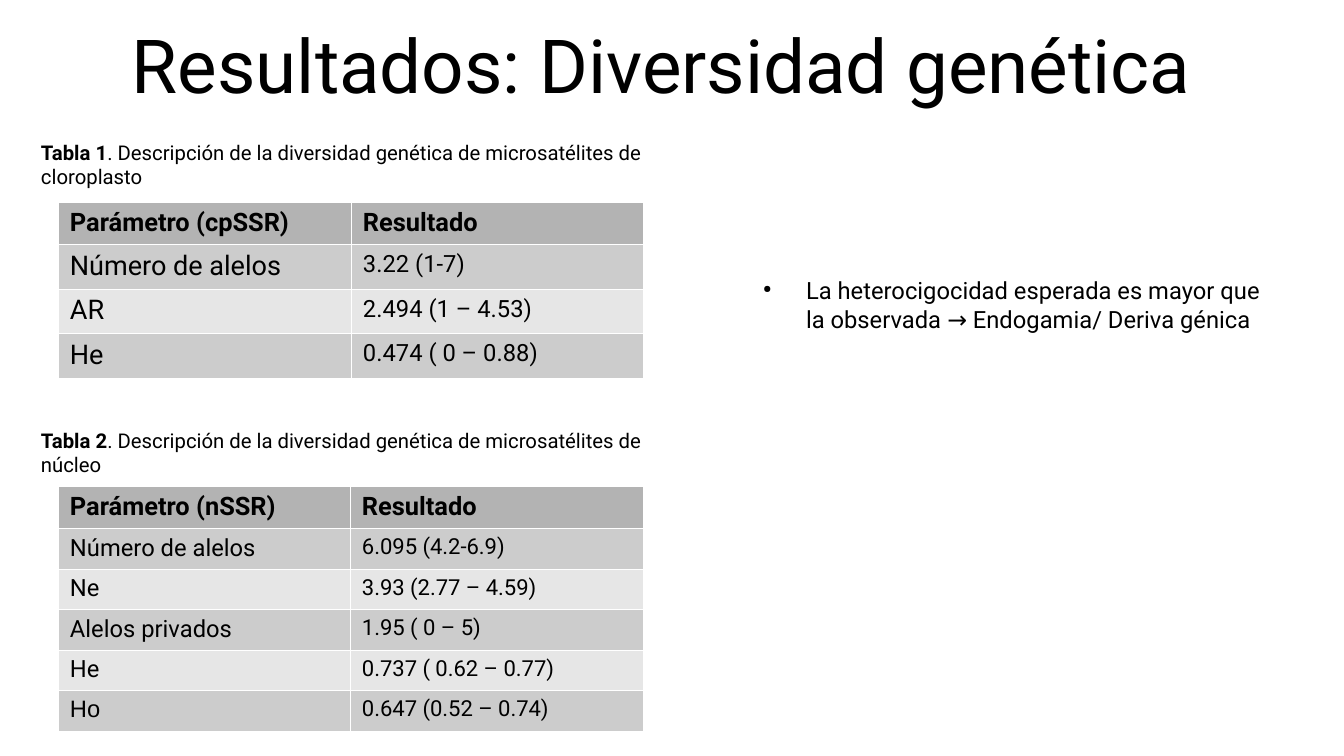
from dataclasses import dataclass

import pptx
import pptx.dml.color
import pptx.enum.text
import pptx.oxml
import pptx.oxml.ns
import pptx.util

EMU_PER_PX = 914400 / 122


@dataclass(frozen=True)
class Theme:
    font: str = "Roboto"
    alternate_font: str = "Arial"
    text: str = "000000"
    background: str = "FFFFFF"
    border: str = "FFFFFF"
    header_fill: str = "B3B3B3"
    band_fills: tuple[str, str] = ("CCCCCC", "E6E6E6")
    title_size: int = 44
    header_size: int = 15
    body_size: int = 14
    caption_size: int = 12
    border_width: float = 0.06


@dataclass(frozen=True)
class Box:
    left: int
    top: int
    width: int
    height: int


@dataclass(frozen=True)
class ResultTable:
    label: str
    caption: str
    caption_box: Box
    left: int
    top: int
    columns: tuple[int, int]
    header_height: int
    row_height: int
    sizes: tuple[int, int]
    rows: tuple[tuple[str, str], ...]


THEME = Theme()
ALTERNATE_FONT_TEXTS = {"Ho"}
TABLES = (
    ResultTable(
        "Tabla 1",
        ". Descripción de la diversidad genética de microsatélites de cloroplasto",
        Box(29, 134, 625, 57), 58, 202, (293, 292), 41, 44, (16, 14),
        (
            ("Parámetro (cpSSR)", "Resultado"),
            ("Número de alelos", "3.22 (1-7)"),
            ("AR", "2.494 (1 – 4.53)"),
            ("He", "0.474 ( 0 – 0.88)"),
        ),
    ),
    ResultTable(
        "Tabla 2",
        ". Descripción de la diversidad genética de microsatélites de núcleo",
        Box(29, 422, 625, 57), 58, 486, (292, 293), 41, 40, (14, 13),
        (
            ("Parámetro (nSSR)", "Resultado"),
            ("Número de alelos", "6.095 (4.2-6.9)"),
            ("Ne", "3.93 (2.77 – 4.59)"),
            ("Alelos privados", "1.95 ( 0 – 5)"),
            ("He", "0.737 ( 0.62 – 0.77)"),
            ("Ho", "0.647 (0.52 – 0.74)"),
        ),
    ),
)


def px(length: int) -> pptx.util.Emu:
    return pptx.util.Emu(round(length * EMU_PER_PX))


def color(value: str) -> pptx.dml.color.RGBColor:
    return pptx.dml.color.RGBColor.from_string(value)


def style_paragraph(paragraph, size: int, bold: bool | None = None, font: str = THEME.font) -> None:
    paragraph.font.name = font
    paragraph.font.size = pptx.util.Pt(size)
    paragraph.font.color.rgb = color(THEME.text)
    paragraph.font.bold = bold


def set_margins(target, horizontal: int, vertical: int) -> None:
    target.margin_left = target.margin_right = px(horizontal)
    target.margin_top = target.margin_bottom = px(vertical)


def add_text_frame(slide, box: Box, horizontal: int = 0, vertical: int = 0):
    shape = slide.shapes.add_textbox(px(box.left), px(box.top), px(box.width), px(box.height))
    shape.text_frame.word_wrap = True
    set_margins(shape.text_frame, horizontal, vertical)
    return shape.text_frame


def add_title(slide, text: str, box: Box) -> None:
    frame = add_text_frame(slide, box)
    frame.vertical_anchor = pptx.enum.text.MSO_ANCHOR.MIDDLE
    paragraph = frame.paragraphs[0]
    paragraph.text = text
    paragraph.alignment = pptx.enum.text.PP_ALIGN.CENTER
    style_paragraph(paragraph, THEME.title_size)


def add_bullet(slide, text: str, box: Box) -> None:
    paragraph = add_text_frame(slide, box).paragraphs[0]
    paragraph.text = text
    properties = paragraph._p.get_or_add_pPr()
    properties.set("marL", str(px(57)))
    properties.set("indent", str(px(-43)))
    namespace = pptx.oxml.ns.nsdecls("a")
    for element in (
        f'<a:buClr {namespace}><a:srgbClr val="{THEME.text}"/></a:buClr>',
        f'<a:buSzPct {namespace} val="45000"/>',
        f'<a:buChar {namespace} char="●"/>',
    ):
        properties.append(pptx.oxml.parse_xml(element))
    style_paragraph(paragraph, THEME.body_size)


def add_caption(slide, result: ResultTable) -> None:
    paragraph = add_text_frame(slide, result.caption_box, 12, 6).paragraphs[0]
    style_paragraph(paragraph, THEME.caption_size)
    for text, bold in ((result.label, True), (result.caption, False)):
        run = paragraph.add_run()
        run.text = text
        run.font.bold = bold


def set_borders(cell) -> None:
    properties = cell._tc.get_or_add_tcPr()
    width = pptx.util.Pt(THEME.border_width)
    for index, side in enumerate(("lnL", "lnR", "lnT", "lnB")):
        border = pptx.oxml.parse_xml(
            f'<a:{side} {pptx.oxml.ns.nsdecls("a")} w="{width}"><a:solidFill>'
            f'<a:srgbClr val="{THEME.border}"/></a:solidFill></a:{side}>'
        )
        properties.insert(index, border)


def fill_cell(cell, text: str, size: int, fill: str, bold: bool) -> None:
    paragraph = cell.text_frame.paragraphs[0]
    paragraph.text = text
    font = THEME.alternate_font if text in ALTERNATE_FONT_TEXTS else THEME.font
    style_paragraph(paragraph, size, bold, font)
    set_margins(cell, 12, 6)
    cell.fill.solid()
    cell.fill.fore_color.rgb = color(fill)
    set_borders(cell)


def add_result_table(slide, result: ResultTable) -> None:
    heights = [result.header_height] + [result.row_height] * (len(result.rows) - 1)
    table = slide.shapes.add_table(
        len(result.rows), len(result.columns), px(result.left), px(result.top),
        px(sum(result.columns)), px(sum(heights)),
    ).table
    table.first_row = table.horz_banding = False
    for column, width in zip(table.columns, result.columns):
        column.width = px(width)
    for row_index, (values, height) in enumerate(zip(result.rows, heights)):
        table.rows[row_index].height = px(height)
        header = row_index == 0
        fill = THEME.header_fill if header else THEME.band_fills[(row_index - 1) % 2]
        for column_index, text in enumerate(values):
            size = THEME.header_size if header else result.sizes[column_index]
            fill_cell(table.cell(row_index, column_index), text, size, fill, header)


def main() -> None:
    presentation = pptx.Presentation()
    presentation.slide_width = px(1344)
    presentation.slide_height = px(756)
    slide = presentation.slides.add_slide(presentation.slide_layouts[6])
    slide.background.fill.solid()
    slide.background.fill.fore_color.rgb = color(THEME.background)
    add_title(slide, "Resultados: Diversidad genética", Box(67, 0, 1190, 127))
    add_bullet(
        slide,
        "La heterocigocidad esperada es mayor que la observada → Endogamia/ Deriva génica",
        Box(749, 276, 528, 349),
    )
    for result in TABLES:
        add_caption(slide, result)
        add_result_table(slide, result)
    presentation.save("out.pptx")


if __name__ == "__main__":
    main()
